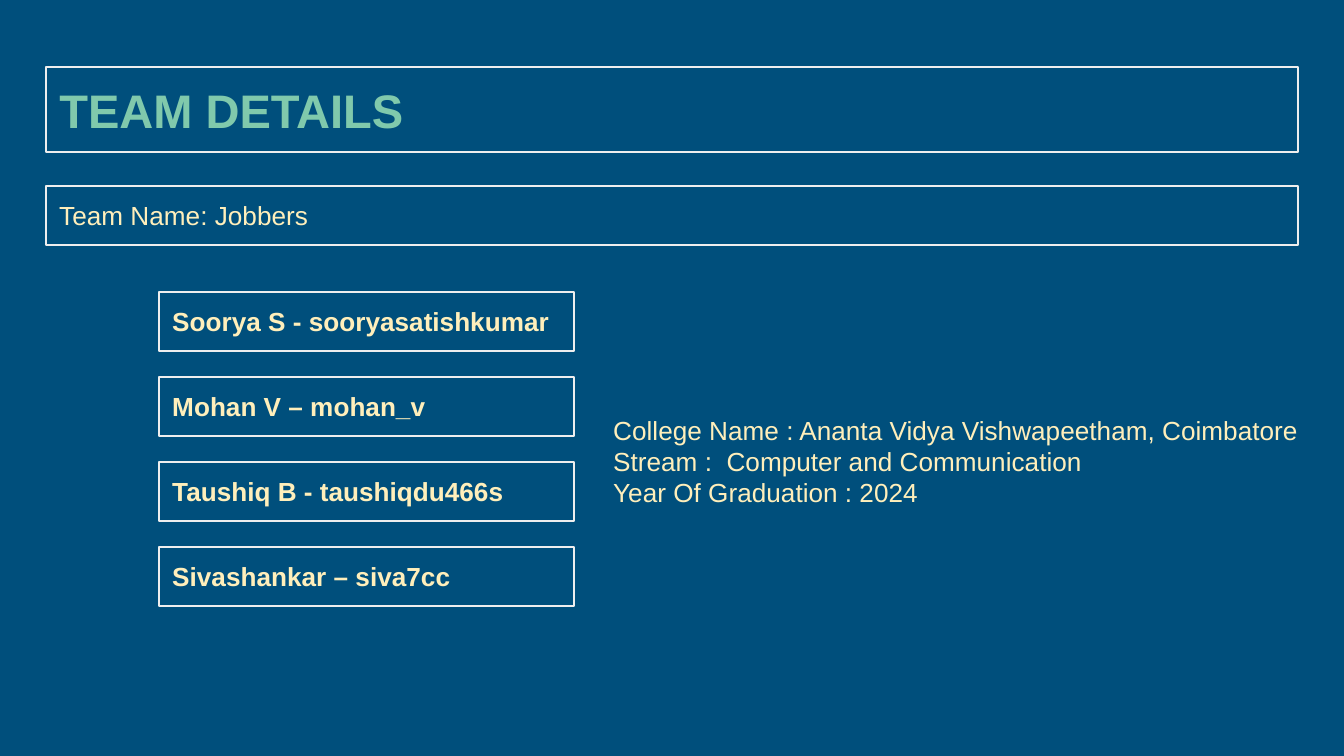
"""Builds the team details slide."""
import pptx
import pptx.dml.color
import pptx.enum.shapes
import pptx.enum.text
import pptx.util

RGB = pptx.dml.color.RGBColor
NAVY = RGB(0x00, 0x4F, 0x7C)
MINT = RGB(0x80, 0xC9, 0xAC)
CREAM = RGB(0xFF, 0xEF, 0xBB)
PALE = RGB(0xEE, 0xEE, 0xEE)

WIDTH, HEIGHT = 1344, 756
SCALE = pptx.util.Inches(10) / WIDTH
LEFT, BAR_WIDTH = 46, 1252
ROW_HEIGHT = 59
MEMBER_LEFT, MEMBER_TOP, MEMBER_WIDTH, MEMBER_PITCH = 159, 292, 415, 85

MEMBERS = [
    "Soorya S - sooryasatishkumar",
    "Mohan V – mohan_v",
    "Taushiq B - taushiqdu466s",
    "Sivashankar – siva7cc",
]
COLLEGE = [
    "College Name : Ananta Vidya Vishwapeetham, Coimbatore",
    "Stream :  Computer and Communication",
    "Year Of Graduation : 2024",
]


def px(n):
    return pptx.util.Emu(round(n * SCALE))


def set_all(obj, values):
    for name, value in values.items():
        setattr(obj, name, value)


def place(sp, box):
    set_all(sp, dict(zip(("left", "top", "width", "height"), map(px, box))))


def outline(sp):
    sp.fill.background()
    sp.line.color.rgb = PALE
    sp.line.width = pptx.util.Pt(0.75)


def write(sp, lines, size=14, color=CREAM, bold=False):
    tf = sp.text_frame
    sides = ("left", "top", "right", "bottom")
    set_all(tf, {f"margin_{side}": pptx.util.Inches(0.1) for side in sides})
    set_all(tf, {
        "word_wrap": True,
        "auto_size": pptx.enum.text.MSO_AUTO_SIZE.NONE,
        "vertical_anchor": pptx.enum.text.MSO_ANCHOR.MIDDLE,
    })
    tf.text = "\n".join(lines)
    for p in tf.paragraphs:
        p.alignment = pptx.enum.text.PP_ALIGN.LEFT
        for r in p.runs:
            set_all(r.font, {"name": "Arial", "size": pptx.util.Pt(size), "bold": bold})
            r.font.color.rgb = color


def add_title(s, text, box):
    sp = s.shapes.title
    place(sp, box)
    outline(sp)
    write(sp, [text], size=25.2, color=MINT, bold=True)


def add_box(s, text, box, bold=False):
    sp = s.shapes.add_shape(pptx.enum.shapes.MSO_SHAPE.RECTANGLE, *map(px, box))
    sp.shadow.inherit = False
    outline(sp)
    write(sp, [text], bold=bold)


def add_text(s, lines, box):
    write(s.shapes.add_textbox(*map(px, box)), lines)


def main():
    prs = pptx.Presentation()
    set_all(prs, {"slide_width": px(WIDTH), "slide_height": px(HEIGHT)})
    s = prs.slides.add_slide(prs.slide_layouts.get_by_name("Title Only"))
    s.background.fill.solid()
    s.background.fill.fore_color.rgb = NAVY

    add_title(s, "TEAM DETAILS", (LEFT, 67, BAR_WIDTH, 85))
    add_box(s, "Team Name: Jobbers", (LEFT, 186, BAR_WIDTH, ROW_HEIGHT))
    for i, member in enumerate(MEMBERS):
        top = MEMBER_TOP + i * MEMBER_PITCH
        add_box(s, member, (MEMBER_LEFT, top, MEMBER_WIDTH, ROW_HEIGHT), bold=True)
    add_text(s, COLLEGE, (600, 400, 718, 122))

    prs.save("out.pptx")


if __name__ == "__main__":
    main()
